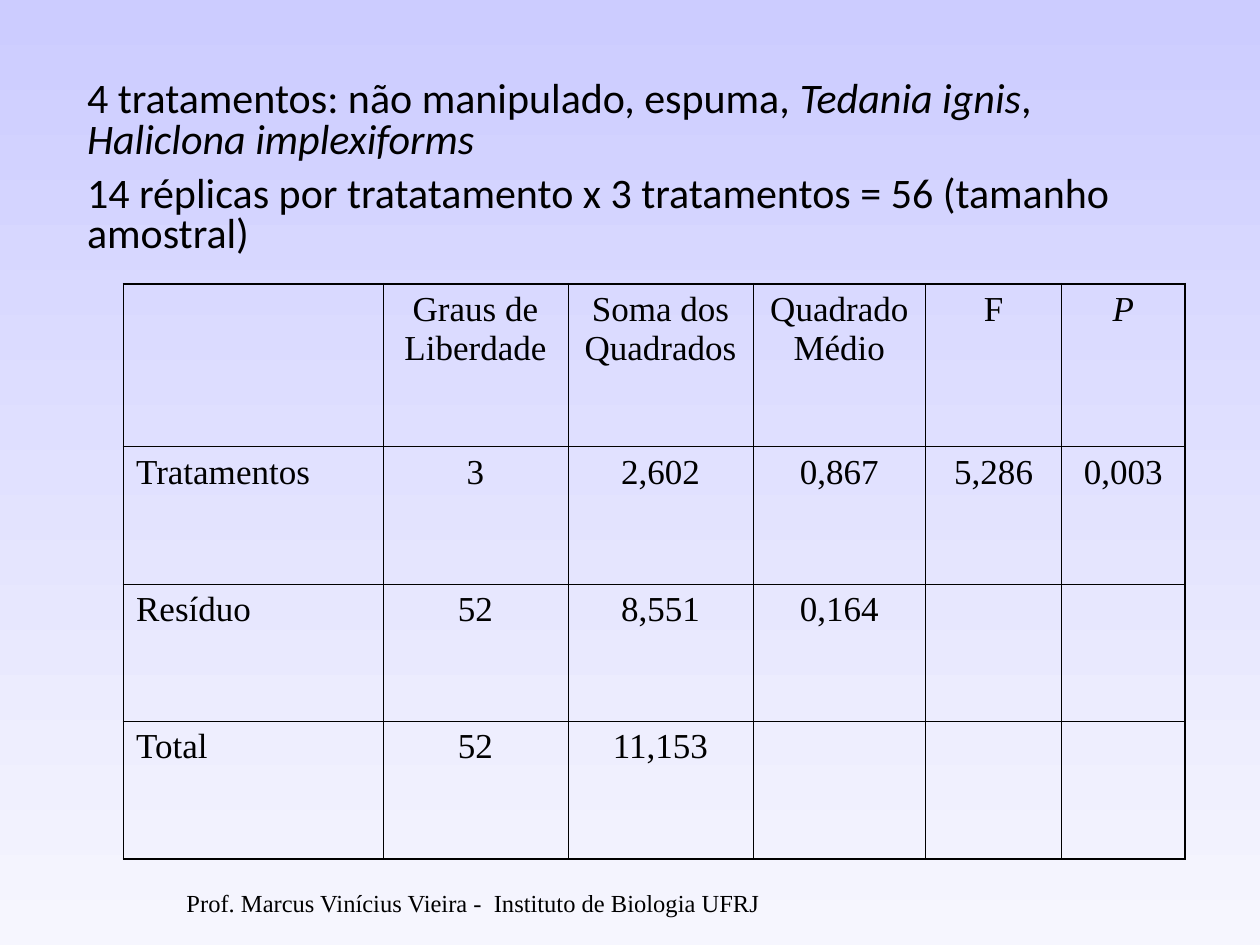
"""Build a slide with an analysis of variance table."""
from lxml import etree
from pptx import Presentation
from pptx.dml.color import RGBColor
from pptx.enum.text import MSO_ANCHOR, MSO_AUTO_SIZE, PP_ALIGN
from pptx.oxml.ns import qn
from pptx.util import Cm, Pt

LEFT, MID = PP_ALIGN.LEFT, PP_ALIGN.CENTER
LOW, FIXED = MSO_ANCHOR.BOTTOM, MSO_AUTO_SIZE.NONE
INK, SKY, PALE = "000000", "CCCCFF", "F6F6FE"
SERIF, SANS = "Times New Roman", "Calibri"
THIN, THICK = 0.45, 1.08

NOTES = [
    [("4 tratamentos: não manipulado, espuma, ", False), ("Tedania ignis", True),
     (", ", False), ("Haliclona implexiforms", True)],
    [("14 réplicas por tratatamento x 3 tratamentos = 56 (tamanho amostral)", False)],
]
ROWS = [
    ["", "Graus de Liberdade", "Soma dos Quadrados", "Quadrado Médio", "F", "P"],
    ["Tratamentos", "3", "2,602", "0,867", "5,286", "0,003"],
    ["Resíduo", "52", "8,551", "0,164", "", ""],
    ["Total", "52", "11,153", "", "", ""],
]
WIDTHS = [5.23, 3.73, 3.73, 3.48, 2.74, 2.49]
HEIGHTS = [3.28, 2.77, 2.77, 2.77]
FOOTER = "Prof. Marcus Vinícius Vieira -  Instituto de Biologia UFRJ"


def color(target, code):
    target.rgb = RGBColor.from_string(code)


def write(para, text, size=20, face=SERIF, slant=False, align=LEFT):
    para.alignment = align
    run = para.add_run()
    run.text = text
    font = run.font
    font.size, font.name, font.italic = Pt(size), face, slant
    color(font.color, INK)


def border(cell, side, width):
    line = etree.SubElement(cell._tc.get_or_add_tcPr(), qn("a:ln" + side), w=str(Pt(width)))
    fill = etree.SubElement(line, qn("a:solidFill"))
    etree.SubElement(fill, qn("a:srgbClr"), val=INK)


def add_notes(slide):
    body = slide.placeholders[1]
    body.left, body.top, body.width, body.height = Cm(1.5), Cm(1.52), Cm(22.81), Cm(3.78)
    frame = body.text_frame
    frame.auto_size = FIXED
    for i, parts in enumerate(NOTES):
        para = frame.add_paragraph() if i else frame.paragraphs[0]
        para.line_spacing = 0.8
        para.space_before = Pt(8 if i else 0)
        props = para._p.get_or_add_pPr()
        props.set("marL", "0")
        props.set("indent", "0")
        etree.SubElement(props, qn("a:buNone"))
        for text, slant in parts:
            write(para, text, size=24, face=SANS, slant=slant)


def add_grid(slide):
    last, end = len(ROWS) - 1, len(WIDTHS) - 1
    table = slide.shapes.add_table(len(ROWS), len(WIDTHS), Cm(2.49), Cm(5.72),
                                   Cm(sum(WIDTHS)), Cm(sum(HEIGHTS))).table
    table.first_row = table.horz_banding = False
    for col, width in zip(table.columns, WIDTHS):
        col.width = Cm(width)
    for r, row in enumerate(ROWS):
        table.rows[r].height = Cm(HEIGHTS[r])
        for c, text in enumerate(row):
            cell = table.cell(r, c)
            edges = {"L": c == 0, "R": c == end, "T": r == 0, "B": r == last}
            for side, outer in edges.items():
                border(cell, side, THICK if outer else THIN)
            cell.fill.background()
            if text:
                write(cell.text_frame.paragraphs[0], text, slant=text == "P",
                      align=MID if c else LEFT)


def add_footer(slide):
    box = slide.shapes.add_textbox(Cm(3.51), Cm(17.35), Cm(19.99), Cm(1.27))
    frame = box.text_frame
    frame.word_wrap, frame.vertical_anchor = True, LOW
    write(frame.paragraphs[0], FOOTER, size=14)


def main():
    deck = Presentation()
    deck.slide_width, deck.slide_height = Cm(25.4), Cm(19.05)
    slide = deck.slides.add_slide(deck.slide_layouts[1])
    title = slide.shapes.title._element
    title.getparent().remove(title)
    fill = slide.background.fill
    fill.gradient()
    fill.gradient_angle = 270
    for stop, code in zip(fill.gradient_stops, (SKY, PALE)):
        color(stop.color, code)
    add_notes(slide)
    add_grid(slide)
    add_footer(slide)
    deck.save("out.pptx")


if __name__ == "__main__":
    main()
